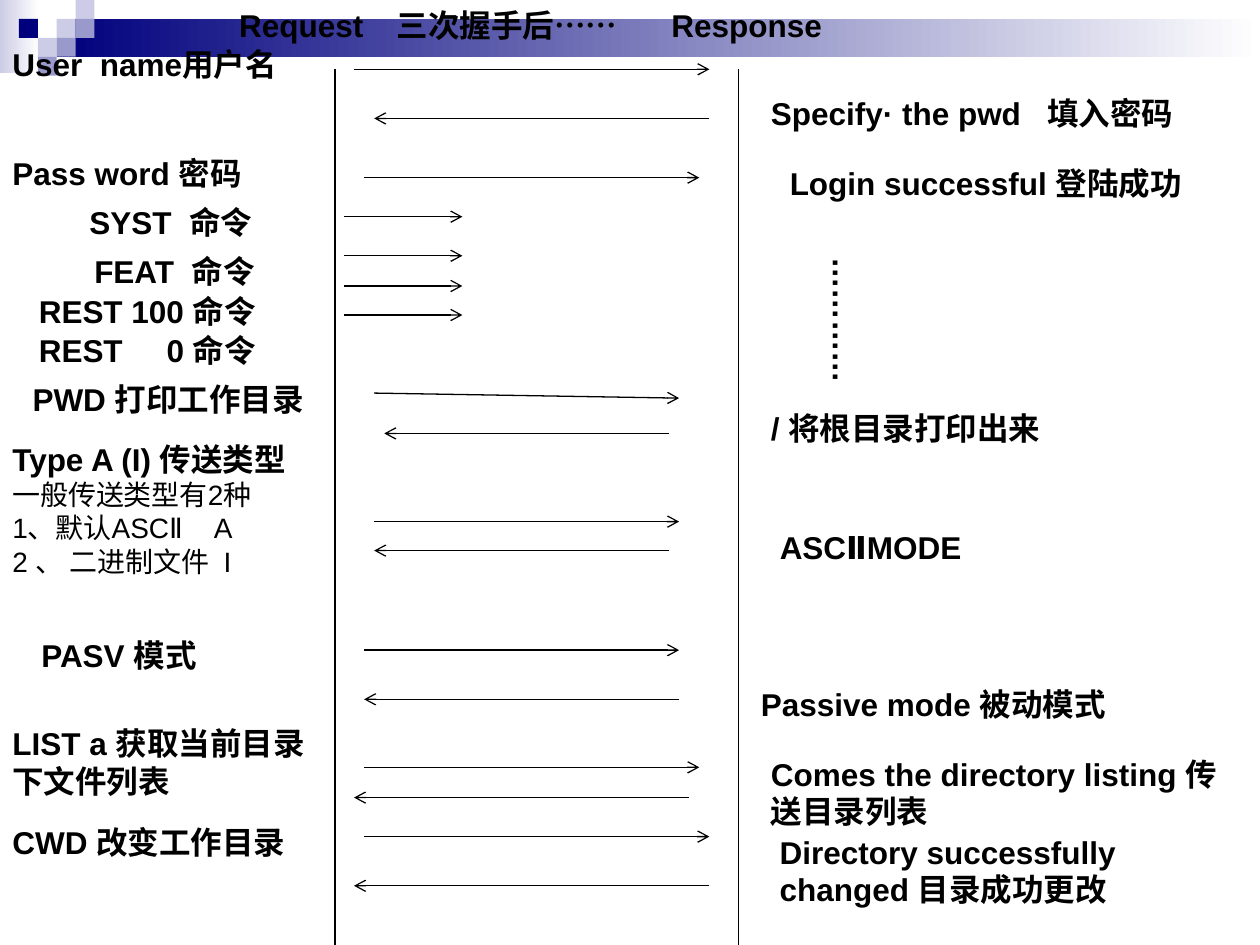
from lxml import etree
from pptx import Presentation
from pptx.dml.color import RGBColor
from pptx.enum.shapes import MSO_CONNECTOR, MSO_SHAPE
from pptx.enum.text import MSO_AUTO_SIZE
from pptx.oxml.ns import qn
from pptx.util import Inches, Pt

COLORS = {"text": "000000", "navy": "00007D", "mid": "9999CC", "pale": "CCCCE6", "white": "FFFFFF"}
FONT = "Arial"
GAP = "|"  # marks a word space that is widened

# Left, top, width, height in inches
BAND = (0, 0, 10, 0.6)
HEADINGS = (1.8, 0, 4.91, 0.4)
CLIENT = (0, 0.31, 2.66, 7.19)
LANES = (2.66, 0.55, 3.2, 6.95)
SERVER = (5.86, 0.7, 4.14, 6.8)

# Column, row, colour on the grid of small squares
BAND_SQUARES = [(3, 1, "pale"), (4, 0, "pale"), (4, 1, "mid"), (2, 2, "pale"),
                (1, 1, "navy"), (3, 2, "mid"), (2, 3, "mid")]

# x, y, width, text, first-line indent, points added to the gap; x and y are relative to the region
HEADING_TEXTS = [(0, 0, 1.48, "Request", 0, 0), (1.25, 0, 2.19, "三次握手后……", 0, 0),
                 (3.43, 0, 1.48, "Response", 0, 0)]
CLIENT_TEXTS = [
    (0, 0, 2.58, "User|name用户名", 0, 5),
    (0, 0.86, 2.42, "Pass word 密码", 0, 0),
    (0.47, 1.25, 1.95, "SYST|命令", 0.14, 5),
    (0.23, 1.64, 2.11, "FEAT|命令", 0.42, 5),
    (0, 1.96, 2.27, "REST 100 命令", 0.21, 0),
    (0, 2.27, 2.27, "REST|0 命令", 0.21, 20),
    (0.16, 2.66, 2.81, "PWD 打印工作目录", 0, 0),
    (0.23, 4.69, 2.42, "PASV 模式", 0, 0),
    (0, 5.39, 2.58, "LIST a 获取当前目录下文件列表", 0, 0),
    (0, 6.17, 2.66, "CWD 改变工作目录", 0, 0),
]
TRANSFER_TYPES = [("一般传送类型有2种", 0), ("1、默认ASCⅡ|A", 13.3), ("2 、 二进制文件|I", 4.5)]
SERVER_TEXTS = [
    (0.16, 0, 3.98, "Specify· the pwd|填入密码", 0, 10),
    (0.31, 0.55, 3.36, "Login successful 登陆成功", 0, 0),
    (0.16, 2.5, 2.97, "/ 将根目录打印出来", 0, 0),
    (0.23, 3.44, 2.42, "ASCⅡMODE", 0, 0),
    (0.08, 4.69, 3.52, "Passive mode 被动模式", 0, 0),
    (0.16, 5.24, 3.98, "Comes the directory listing 传送目录列表", 0, 0),
    (0.23, 5.86, 3.44, "Directory successfully changed 目录成功更改", 0, 0),
]
# Start x, end x, y, drop; relative to the lanes
MESSAGES = [
    (0.15, 2.97, 0, 0), (2.97, 0.31, 0.39, 0), (0.23, 2.89, 0.86, 0),
    (0.07, 1.01, 1.17, 0), (0.07, 1.01, 1.48, 0), (0.07, 1.01, 1.72, 0), (0.07, 1.01, 1.95, 0),
    (0.31, 2.73, 2.57, 0.04), (2.65, 0.39, 2.89, 0),
    (0.31, 2.73, 3.59, 0), (2.65, 0.31, 3.82, 0),
    (0.23, 2.73, 4.61, 0), (2.73, 0.23, 5, 0),
    (0.23, 2.89, 5.54, 0), (2.81, 0.15, 5.78, 0),
    (0.23, 2.97, 6.09, 0), (2.97, 0.15, 6.48, 0),
]


def rgb(name):
    return RGBColor.from_string(COLORS[name])


def add_block(slide, x, y, width, height):
    block = slide.shapes.add_shape(MSO_SHAPE.RECTANGLE, Inches(x), Inches(y), Inches(width), Inches(height))
    block.shadow.inherit = False
    block.line.fill.background()
    return block


def add_fade(slide, x, y, width, height, start):
    """Add a block that fades from the start colour to white, left to right."""
    fill = add_block(slide, x, y, width, height).fill
    fill.gradient()
    fill.gradient_angle = 0
    for stop, position, name in zip(fill.gradient_stops, (0, 1), (start, "white")):
        stop.position = position
        stop.color.rgb = rgb(name)


def add_line(slide, x1, y1, x2, y2, arrow=False):
    line = slide.shapes.add_connector(MSO_CONNECTOR.STRAIGHT, Inches(x1), Inches(y1), Inches(x2), Inches(y2))
    line.line.color.rgb = rgb("text")
    line.line.width = Pt(0.75)
    if arrow:
        etree.SubElement(line.line._get_or_add_ln(), qn("a:tailEnd"), type="arrow")
    etree.SubElement(line._element.spPr, qn("a:effectLst"))


def add_run(paragraph, text, size, bold, spacing=0):
    run = paragraph.add_run()
    run.text = text
    run.font.name = FONT
    run.font.size = Pt(size)
    run.font.bold = bold
    run.font.color.rgb = rgb("text")
    if spacing:
        run._r.get_or_add_rPr().set("spc", str(round(spacing * 100)))


def write(paragraph, text, indent=0, extra=0, size=18, bold=True):
    """Write the text, with its marked gap as one space widened by extra points."""
    properties = paragraph._p.get_or_add_pPr()
    properties.set("marL", "0")
    properties.set("indent", str(Inches(indent)))
    before, gap, after = text.partition(GAP)
    add_run(paragraph, before, size, bold)
    if gap:
        add_run(paragraph, " ", size, bold, extra)
        add_run(paragraph, after, size, bold)


def add_label(slide, x, y, width, text, indent=0, extra=0, height=0.4):
    frame = slide.shapes.add_textbox(Inches(x), Inches(y), Inches(width), Inches(height)).text_frame
    frame.word_wrap = True
    frame.auto_size = MSO_AUTO_SIZE.SHAPE_TO_FIT_TEXT
    write(frame.paragraphs[0], text, indent, extra)
    return frame


def add_labels(slide, box, labels):
    for x, y, width, text, indent, extra in labels:
        height = 0.7 if text.startswith(("LIST", "Login", "Comes", "Directory")) else 0.4
        add_label(slide, box[0] + x, box[1] + y, width, text, indent, extra, height)


def draw_band(slide, box):
    left, top, width, height = box
    square = height / 4
    add_fade(slide, left, top, 0.31, 0.58, "pale")
    add_fade(slide, left + 3 * square, top + square, width - 3 * square, 2 * square, "navy")
    for column, row, name in BAND_SQUARES:
        block = add_block(slide, left + column * square, top + row * square, square, square)
        block.fill.solid()
        block.fill.fore_color.rgb = rgb(name)


def draw_lanes(slide, box):
    left, top, width, height = box
    for x in (left, left + width):
        add_line(slide, x, top, x, top + height)
    for start, end, y, drop in MESSAGES:
        add_line(slide, left + start, top + y, left + end, top + y + drop, arrow=True)


def draw_client(slide, box):
    left, top = box[:2]
    add_labels(slide, box, CLIENT_TEXTS)
    types = add_label(slide, left, top + 3.13, 2.58, "Type A (I) 传送类型", height=1.2)
    for text, extra in TRANSFER_TYPES:
        write(types.add_paragraph(), text, extra=extra, size=16, bold=False)


def draw_server(slide, box):
    left, top = box[:2]
    add_labels(slide, box, SERVER_TEXTS)
    dots = add_label(slide, left + 0.55, top + 0.94, 0.5, "…………", height=1.8)
    dots._txBody.bodyPr.set("vert", "eaVert")
    dots.margin_left = dots.margin_right = Inches(0.05)
    dots.margin_top = Inches(0.4)
    dots.margin_bottom = Inches(0.1)


def main():
    presentation = Presentation()
    presentation.slide_width, presentation.slide_height = Inches(10), Inches(7.5)
    slide = presentation.slides.add_slide(presentation.slide_layouts[6])
    draw_band(slide, BAND)
    draw_lanes(slide, LANES)
    add_labels(slide, HEADINGS, HEADING_TEXTS)
    draw_client(slide, CLIENT)
    draw_server(slide, SERVER)
    presentation.save("out.pptx")


if __name__ == "__main__":
    main()
